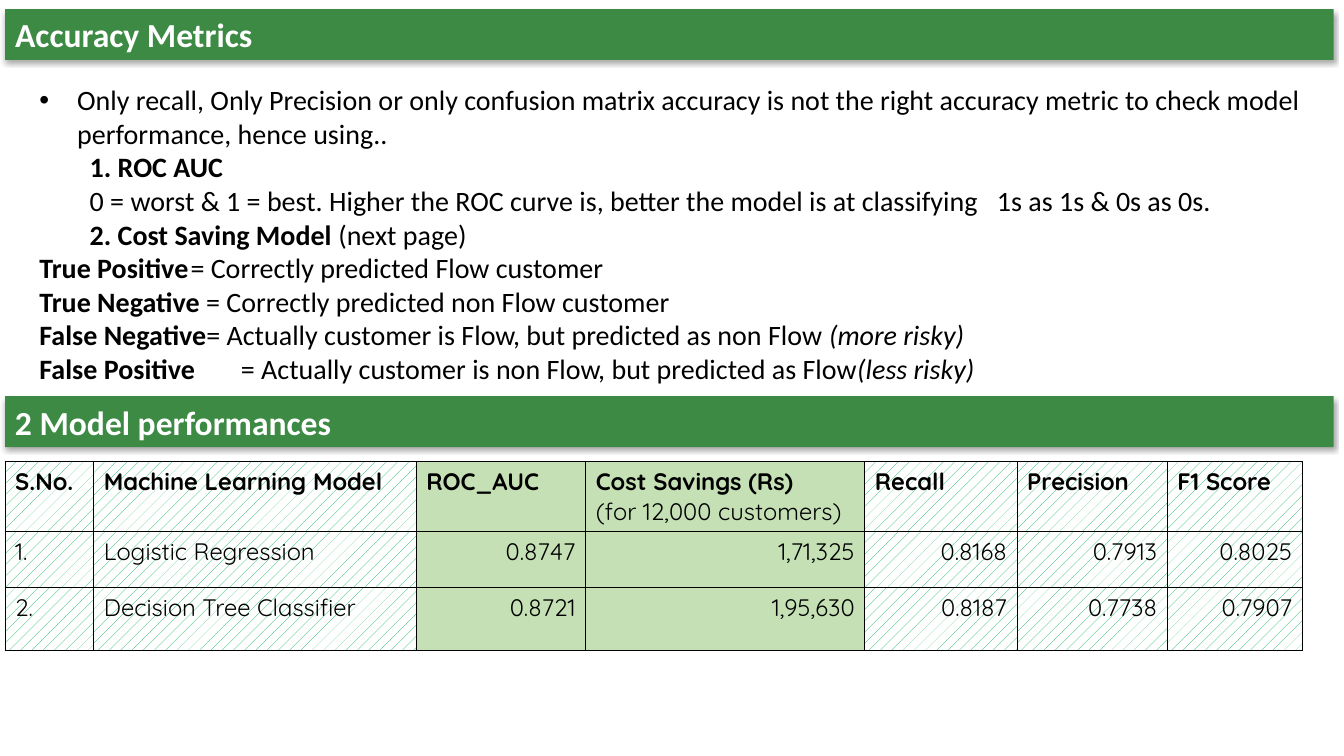
import pptx
import pptx.util
import pptx.dml.color
import pptx.enum.dml
import pptx.enum.shapes
import pptx.enum.text
import pptx.oxml
import pptx.oxml.ns

Pt = pptx.util.Pt
ALIGN = pptx.enum.text.PP_ALIGN
COLORS = {
    "band": "3D8A44",
    "text": "000000",
    "light": "FFFFFF",
    "highlight": "C5E0B4",
    "hatch": "00B050",
}
NAMESPACE = pptx.oxml.ns.nsdecls("a")

BULLETS = [
    [("Only recall, Only Precision or only confusion matrix accuracy is not the right "
      "accuracy metric to check model performance, hence using..", "")],
]
DETAILS = [
    [("\t1. ROC AUC", "b")],
    [("\t0 = worst & 1 = best. Higher the ROC curve is, better the model is at "
      "classifying \t1s as 1s & 0s as 0s.", "")],
    [("\t2. Cost Saving Model ", "b"), ("(next page)", "")],
    [("True Positive", "b"), ("\t= Correctly predicted Flow customer", "")],
    [("True Negative", "b"), (" = Correctly predicted non Flow customer", "")],
    [("False Negative", "b"),
     ("= Actually customer is Flow, but predicted as non Flow ", ""), ("(more risky)", "i")],
    [("False Positive", "b"),
     ("\t= Actually customer is non Flow, but predicted as Flow", ""), ("(less risky)", "i")],
]
HEADERS = [
    ["S.No."], ["Machine Learning Model"], ["ROC_AUC"],
    ["Cost Savings (Rs)", "(for 12,000 customers)"],
    ["Recall"], ["Precision"], ["F1 Score"],
]
MODELS = [
    ["1.", "Logistic Regression", "0.8747", "1,71,325", "0.8168", "0.7913", "0.8025"],
    ["2.", "Decision Tree Classifier", "0.8721", "1,95,630", "0.8187", "0.7738", "0.7907"],
]
COLUMN_WIDTHS = [63.4, 230.4, 121, 199.4, 108.7, 107.3, 96.5]
ROW_HEIGHTS = [49.7, 39.6, 45.4]
HIGHLIGHTED_COLUMNS = (2, 3)


class SlideBuilder:
    heading_font = "Calibri"
    table_font = "Quicksand"

    def __init__(self, slide):
        self.slide = slide

    def color(self, name):
        return pptx.dml.color.RGBColor.from_string(COLORS[name])

    def place(self, shape, left, top, width, height):
        shape.left, shape.top = Pt(left), Pt(top)
        shape.width, shape.height = Pt(width), Pt(height)

    def add_run(self, paragraph, text, size, font, color="text", style=""):
        run = paragraph.add_run()
        run.text = text
        run.font.size = Pt(size)
        run.font.name = font
        run.font.bold = "b" in style
        run.font.italic = "i" in style
        run.font.color.rgb = self.color(color)

    def prepare_frame(self, shape):
        frame = shape.text_frame
        frame.word_wrap = True
        frame.auto_size = pptx.enum.text.MSO_AUTO_SIZE.NONE
        frame.margin_left = frame.margin_right = Pt(7.2)
        frame.margin_top = frame.margin_bottom = Pt(3.6)
        return frame

    def format_band(self, shape, text, top):
        self.place(shape, 3.6, top, 949, 36.3)
        shape.fill.solid()
        shape.fill.fore_color.rgb = self.color("band")
        shape.line.fill.background()
        shape._element.spPr.append(pptx.oxml.parse_xml(
            f'<a:effectLst {NAMESPACE}><a:outerShdw blurRad="{Pt(3.5)}" dist="{Pt(2.2)}" '
            f'dir="5400000" algn="t" rotWithShape="0"><a:srgbClr val="{COLORS["text"]}">'
            '<a:alpha val="32000"/></a:srgbClr></a:outerShdw></a:effectLst>'))
        frame = self.prepare_frame(shape)
        frame.vertical_anchor = pptx.enum.text.MSO_ANCHOR.MIDDLE
        paragraph = frame.paragraphs[0]
        paragraph.alignment = ALIGN.LEFT
        self.add_run(paragraph, text, 24, self.heading_font, "light", "b")

    def add_title(self, text, top):
        self.format_band(self.slide.shapes.title, text, top)

    def add_band(self, text, top):
        shape = self.slide.shapes.add_shape(
            pptx.enum.shapes.MSO_SHAPE.RECTANGLE, 0, 0, Pt(1), Pt(1))
        self.format_band(shape, text, top)

    def format_list_paragraph(self, paragraph, bulleted):
        paragraph.alignment = ALIGN.LEFT
        paragraph.line_spacing = 1.0
        paragraph.space_before = paragraph.space_after = Pt(0)
        properties = paragraph._p.get_or_add_pPr()
        indent = Pt(27) if bulleted else 0
        properties.set("marL", str(indent))
        properties.set("indent", str(-indent))
        if bulleted:
            properties.append(pptx.oxml.parse_xml(
                f'<a:buFont {NAMESPACE} typeface="Arial"/>'))
            properties.append(pptx.oxml.parse_xml(f'<a:buChar {NAMESPACE} char="•"/>'))
        else:
            properties.append(pptx.oxml.parse_xml(f'<a:buNone {NAMESPACE}/>'))
            stops = "".join(f'<a:tab pos="{Pt(stop)}" algn="l"/>' for stop in (72, 120.5, 720))
            properties.append(pptx.oxml.parse_xml(
                f'<a:tabLst {NAMESPACE}>{stops}</a:tabLst>'))

    def add_list(self, bullets, details, left, top, width, height):
        shape = self.slide.placeholders[1]
        self.place(shape, left, top, width, height)
        frame = self.prepare_frame(shape)
        frame.vertical_anchor = pptx.enum.text.MSO_ANCHOR.TOP
        for index, runs in enumerate(bullets + details):
            paragraph = frame.add_paragraph() if index else frame.paragraphs[0]
            self.format_list_paragraph(paragraph, index < len(bullets))
            for text, style in runs:
                self.add_run(paragraph, text, 20, self.heading_font, style=style)

    def format_cell(self, cell, highlighted):
        properties = cell._tc.get_or_add_tcPr()
        for side in ("lnL", "lnR", "lnT", "lnB"):
            properties.append(pptx.oxml.parse_xml(
                f'<a:{side} {NAMESPACE} w="{Pt(0.75)}"><a:solidFill>'
                f'<a:srgbClr val="{COLORS["text"]}"/></a:solidFill></a:{side}>'))
        if highlighted:
            cell.fill.solid()
            cell.fill.fore_color.rgb = self.color("highlight")
        else:
            cell.fill.patterned()
            cell.fill.pattern = pptx.enum.dml.MSO_PATTERN.PERCENT_10
            cell.fill.fore_color.rgb = self.color("hatch")
            cell.fill.back_color.rgb = self.color("light")

    def add_table(self, rows, left, top):
        table = self.slide.shapes.add_table(
            len(rows), len(COLUMN_WIDTHS), Pt(left), Pt(top),
            Pt(sum(COLUMN_WIDTHS)), Pt(sum(ROW_HEIGHTS))).table
        table.first_row = table.horz_banding = False
        for column, width in zip(table.columns, COLUMN_WIDTHS):
            column.width = Pt(width)
        for row, height in zip(table.rows, ROW_HEIGHTS):
            row.height = Pt(height)
        for row_index, row in enumerate(rows):
            for column_index, lines in enumerate(row):
                cell = table.cell(row_index, column_index)
                self.format_cell(cell, column_index in HIGHLIGHTED_COLUMNS)
                frame = cell.text_frame
                for line_index, text in enumerate(lines):
                    paragraph = frame.add_paragraph() if line_index else frame.paragraphs[0]
                    is_number = row_index > 0 and column_index > 1
                    paragraph.alignment = ALIGN.RIGHT if is_number else ALIGN.LEFT
                    style = "b" if row_index == 0 and line_index == 0 else ""
                    self.add_run(paragraph, text, 17, self.table_font, style=style)


def main():
    presentation = pptx.Presentation()
    presentation.slide_width = Pt(960)
    presentation.slide_height = Pt(540)
    builder = SlideBuilder(presentation.slides.add_slide(presentation.slide_layouts[1]))
    builder.add_title("Accuracy Metrics", 6.5)
    builder.add_list(BULLETS, DETAILS, 20.9, 55.4, 923, 225.4)
    builder.add_table([HEADERS] + [[[text] for text in model] for model in MODELS], 3.6, 329.8)
    builder.add_band("2 Model performances", 283)
    presentation.save("out.pptx")


if __name__ == "__main__":
    main()
